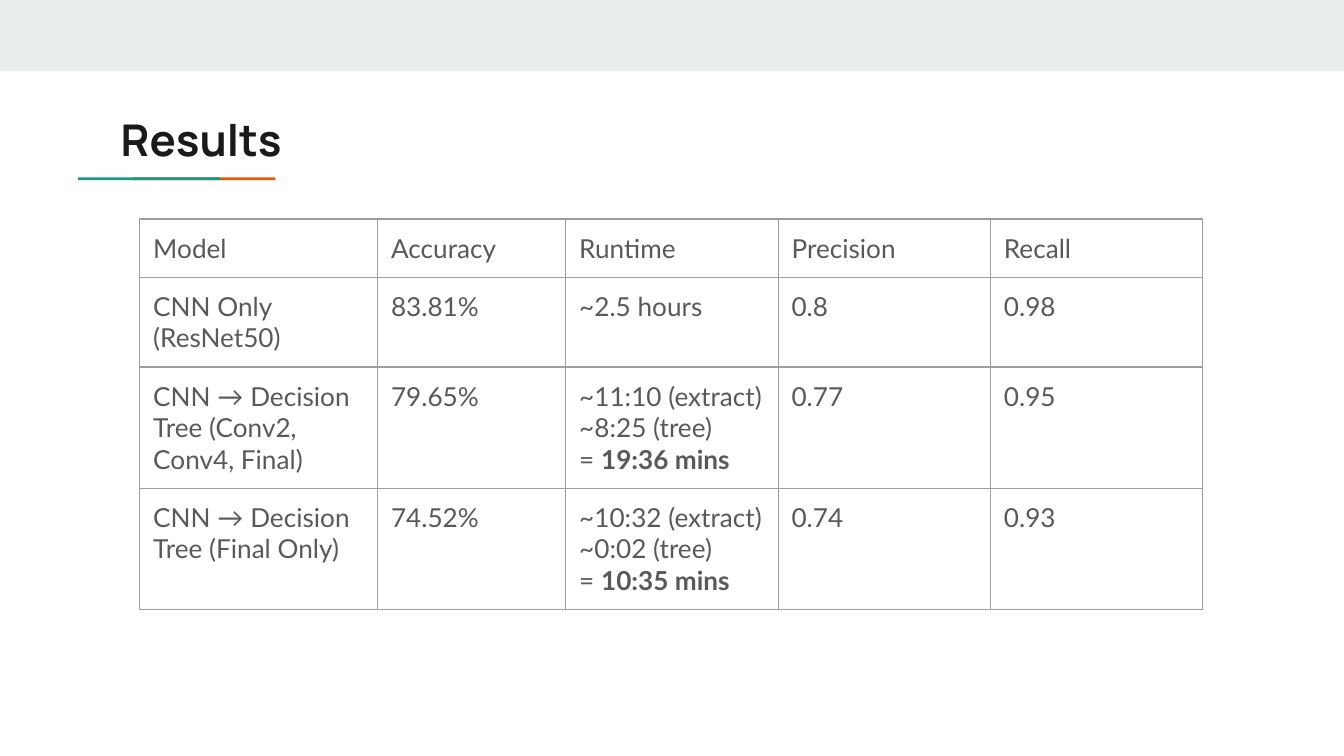
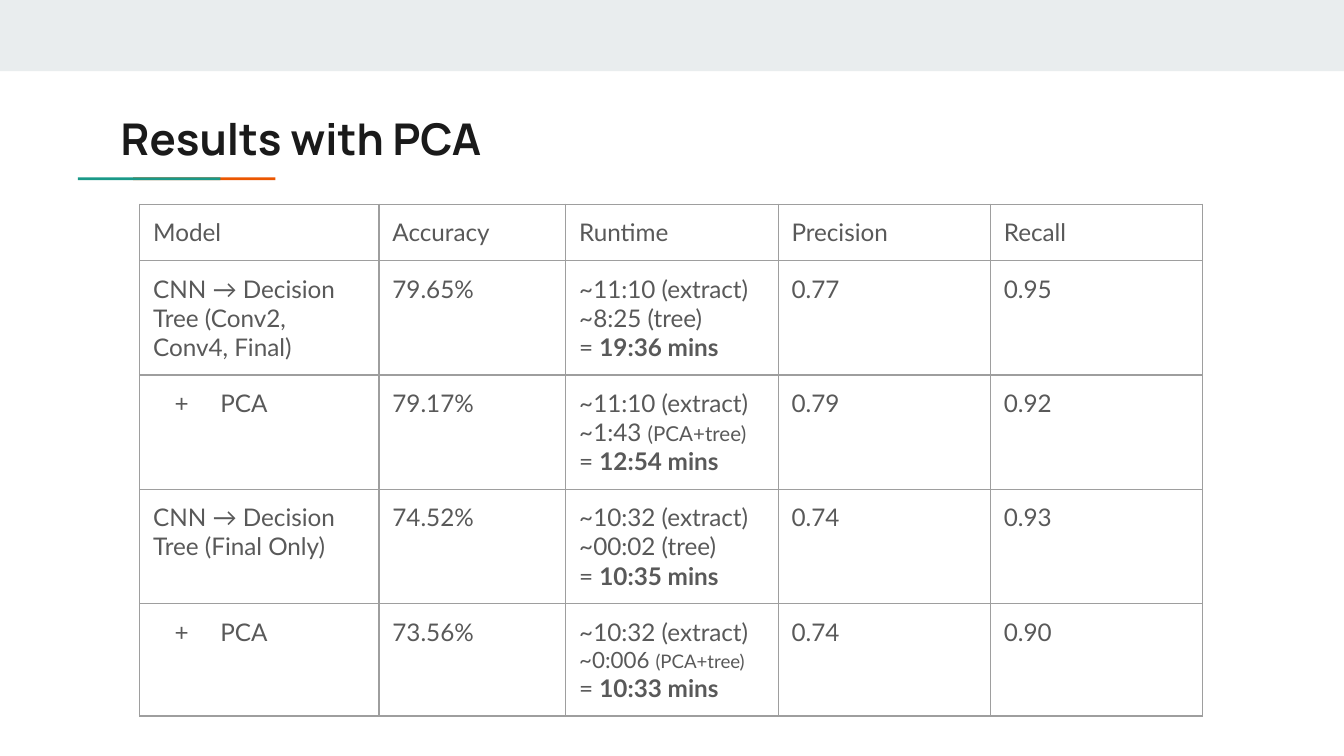
from lxml import etree
from pptx import Presentation
from pptx import util as u
from pptx.dml.color import RGBColor
from pptx.enum import shapes, text
from pptx.oxml import ns

# Shared look
BAND, GREEN, ORANGE = "E9EDEE", "1A9988", "EB5600"
DARK, GREY, EDGE = "1A1A1A", "595959", "9E9E9E"
HEAD, BODY = "Manrope", "Lato"
WIDE = 1.58
LABELS = ["Model", "Accuracy", "Runtime", "Precision", "Recall"]
PLUS = "+ "  # marks a bulleted model name


def color(code):
    return RGBColor.from_string(code)


def style(run, name, size, code, bold=False):
    run.font.name = name
    run.font.size = u.Pt(size)
    run.font.color.rgb = color(code)
    run.font.bold = bold


def add_bar(slide, x, y, w, h, code):
    bar = slide.shapes.add_shape(shapes.MSO_SHAPE.RECTANGLE, *map(u.Inches, (x, y, w, h)))
    bar.shadow.inherit = False
    bar.fill.solid()
    bar.fill.fore_color.rgb = color(code)
    bar.line.fill.background()


def add_title(slide, words, top):
    box = slide.shapes.add_textbox(*map(u.Inches, (0.8, top, 8.41, 0.59)))
    frame = box.text_frame
    frame.word_wrap = True
    frame.vertical_anchor = text.MSO_ANCHOR.MIDDLE
    frame.margin_left = frame.margin_right = u.Inches(0.1)
    frame.margin_top = frame.margin_bottom = u.Inches(0.1)
    frame.text = words
    style(frame.paragraphs[0].runs[0], HEAD, 23.4, DARK, True)


def add_slide(deck, words, top):
    slide = deck.slides.add_slide(deck.slide_layouts[6])
    add_bar(slide, 0, 0, 10, 0.53, BAND)
    # The green rule overlaps the orange one
    for x, code in ((0.99, ORANGE), (0.58, GREEN)):
        add_bar(slide, x, 1.32, 1.06, 0.02, code)
    add_title(slide, words, top)
    return slide


# Table parts
def add_edges(cell):
    props = cell._tc.get_or_add_tcPr()
    for spot, side in enumerate(("lnL", "lnR", "lnT", "lnB")):
        line = etree.Element(ns.qn("a:" + side), w=str(u.Pt(0.75)))
        fill = etree.SubElement(line, ns.qn("a:solidFill"))
        etree.SubElement(fill, ns.qn("a:srgbClr"), val=EDGE)
        props.insert(spot, line)


def add_bullet(para, mark):
    props = para._p.get_or_add_pPr()
    props.set("marL", str(u.Inches(0.5)))
    props.set("indent", str(u.Inches(-0.34)))
    tint = etree.SubElement(props, ns.qn("a:buClr"))
    etree.SubElement(tint, ns.qn("a:srgbClr"), val=GREY)
    etree.SubElement(props, ns.qn("a:buFont"), typeface=BODY)
    etree.SubElement(props, ns.qn("a:buChar"), char=mark)


def fill_cell(cell, value, size):
    """Take a string, or lines of (words, size or None, bold) runs."""
    cell.fill.background()
    add_edges(cell)
    cell.margin_left = cell.margin_right = u.Inches(0.1)
    cell.margin_top = cell.margin_bottom = u.Inches(0.1)
    frame = cell.text_frame
    if isinstance(value, str):
        if value.startswith(PLUS):
            value = value[len(PLUS):]
            add_bullet(frame.paragraphs[0], PLUS.strip())
        value = [[(value, None, False)]]
    for spot, line in enumerate(value):
        para = frame.add_paragraph() if spot else frame.paragraphs[0]
        for words, own, bold in line:
            run = para.add_run()
            run.text = words
            style(run, BODY, own or size, GREY, bold)


def add_table(slide, top, cols, size, rows):
    rows = [LABELS] + rows
    # Each row is a minimum height; taller text stretches it
    highs = [0.42] * 3 + [0.68] * (len(rows) - 3)
    frame = slide.shapes.add_table(
        len(rows), len(cols), *map(u.Inches, (1.04, top, sum(cols), sum(highs))))
    table = frame.table
    table.first_row = table.horz_banding = False
    for col, wide in zip(table.columns, cols):
        col.width = u.Inches(wide)
    for row, high, values in zip(table.rows, highs, rows):
        row.height = u.Inches(high)
        for cell, value in zip(row.cells, values):
            fill_cell(cell, value, size)


def runtime(extract, step, total, note="(tree)", big=None, small=None):
    second = [(f"~{step} {note}", None, False)]
    if small:
        second = [(f"~{step} ", big, False), (note, small, False)]
    return [
        [(f"~{extract} (extract)", None, False)],
        second,
        [("= ", None, False), (f"{total} mins", None, True)],
    ]


def main():
    deck = Presentation()
    # Widescreen, 16 to 9
    deck.slide_width = u.Inches(10)
    deck.slide_height = u.Inches(10) * 9 // 16
    multi = "CNN → Decision Tree (Conv2, Conv4, Final)"
    final = "CNN → Decision Tree (Final Only)"
    pca = "(PCA+tree)"
    full = [multi, "79.65%", runtime("11:10", "8:25", "19:36"), "0.77", "0.95"]

    # Results
    slide = add_slide(deck, "Results", 0.74)
    add_table(slide, 1.63, [1.77, 1.4] + [WIDE] * 3, 14, [
        ["CNN Only (ResNet50)", "83.81%", "~2.5 hours", "0.8", "0.98"],
        full,
        [final, "74.52%", runtime("10:32", "0:02", "10:35"), "0.74", "0.93"],
    ])

    # Results with PCA
    slide = add_slide(deck, "Results with PCA", 0.73)
    add_table(slide, 1.52, [1.78, 1.39] + [WIDE] * 3, 13, [
        full,
        [PLUS + "PCA", "79.17%",
         runtime("11:10", "1:43", "12:54", pca, small=11), "0.79", "0.92"],
        [final, "74.52%", runtime("10:32", "00:02", "10:35"), "0.74", "0.93"],
        [PLUS + "PCA", "73.56%",
         runtime("10:32", "0:006", "10:33", pca, 12, 10), "0.74", "0.90"],
    ])
    deck.save("out.pptx")


if __name__ == "__main__":
    main()
